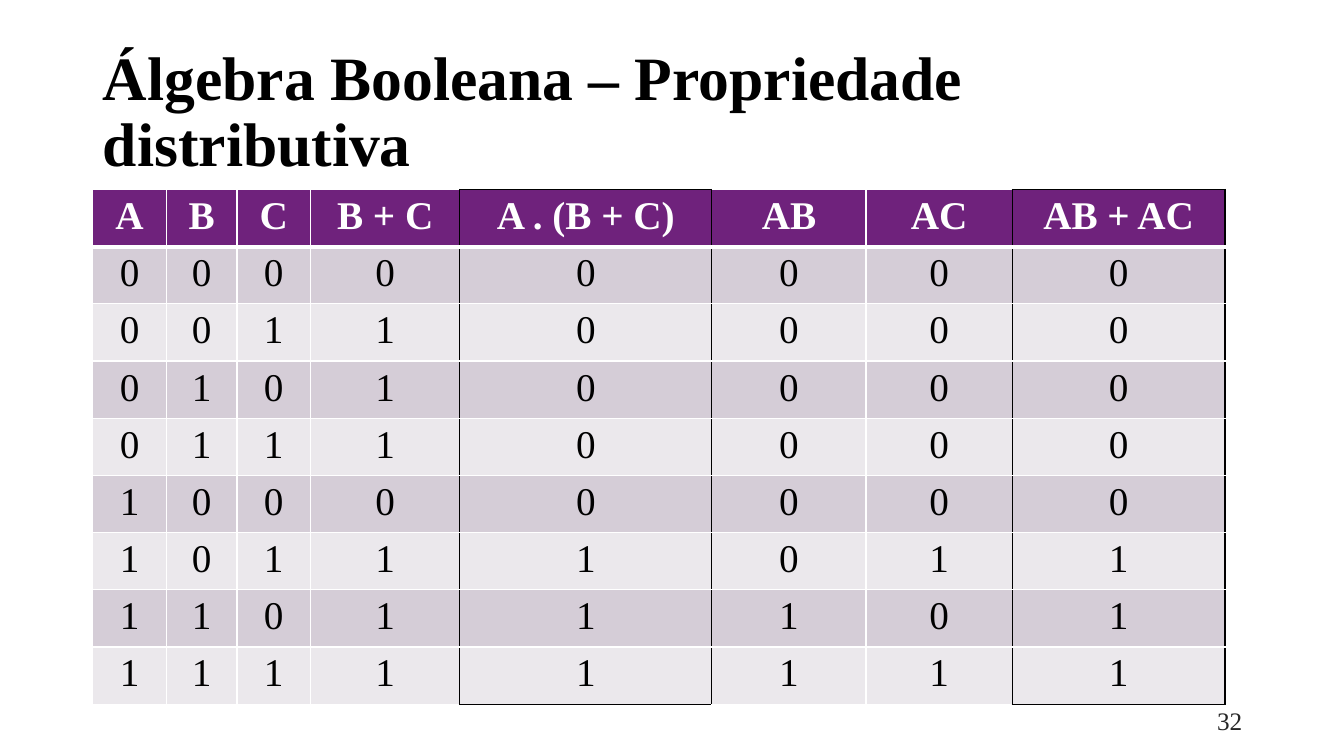
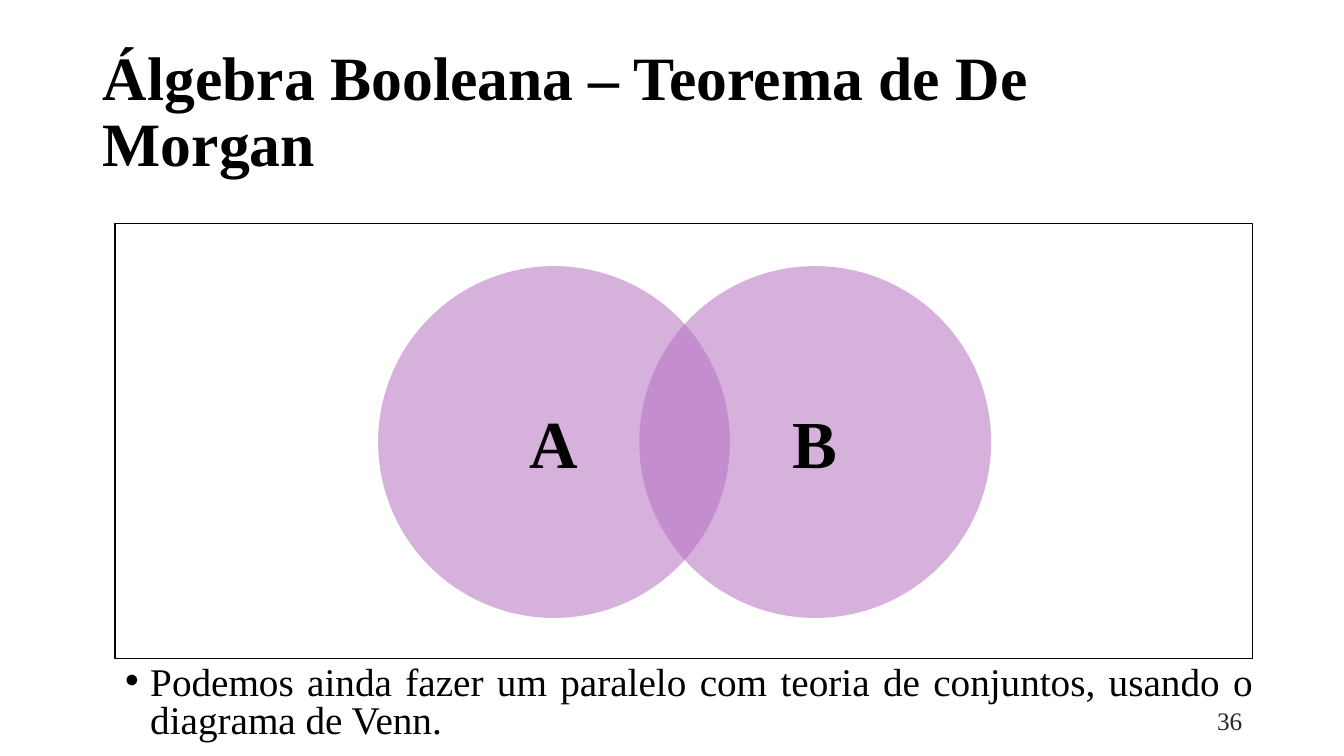
from itertools import product

from pptx import Presentation
from pptx.dml.color import RGBColor
from pptx.enum import shapes, text
from pptx.oxml.ns import qn
from pptx.util import Inches, Pt
from lxml import etree

FONT = "Times New Roman"
COLORS = {
    "ink": "000000",
    "paper": "FFFFFF",
    "header": "6F227C",
    "odd_row": "D5CDD7",
    "even_row": "EBE8EC",
    "set": "B671C1",
    "number": "262626",
}
TITLE_BOX = (0.92, 0.4, 11.5, 1.45)
NUMBER_BOX = (9.42, 6.95, 3, 0.4)
TITLE_ONLY, TITLE_AND_BODY = 5, 1

COLUMN_WIDTHS = [0.73, 0.7, 0.73, 1.48, 2.5, 1.53, 1.45, 2.11]
HEADINGS = ["A", "B", "C", "B + C", "A . (B + C)", "AB", "AC", "AB + AC"]
COMPARED = {HEADINGS.index("A . (B + C)"), HEADINGS.index("AB + AC")}


def rgb(name):
    """Return the named palette colour."""
    return RGBColor.from_string(COLORS[name])


def place(shape, box):
    """Move and size a shape to a box given in inches."""
    shape.left, shape.top, shape.width, shape.height = map(Inches, box)


def write(frame, wording, size, color="ink", bold=False, align=text.PP_ALIGN.LEFT):
    """Fill a text frame with one formatted paragraph and return it."""
    frame.text = wording
    paragraph = frame.paragraphs[0]
    paragraph.alignment = align
    font = paragraph.font
    font.name, font.size, font.bold = FONT, Pt(size), bold
    font.color.rgb = rgb(color)
    return paragraph


def start_slide(deck, layout, heading, number):
    """Add a slide with the shared title and page number."""
    slide = deck.slides.add_slide(deck.slide_layouts[layout])
    title = slide.shapes.title
    place(title, TITLE_BOX)
    title.text_frame.auto_size = text.MSO_AUTO_SIZE.NONE
    title.text_frame.vertical_anchor = text.MSO_ANCHOR.MIDDLE
    write(title.text_frame, heading, 44, bold=True).line_spacing = 0.9

    page = slide.shapes.add_textbox(*map(Inches, NUMBER_BOX)).text_frame
    page.word_wrap = True
    page.vertical_anchor = text.MSO_ANCHOR.MIDDLE
    write(page, str(number), 18, "number", align=text.PP_ALIGN.RIGHT)
    return slide


def truth_rows():
    """Evaluate both sides of the distributive law for every input."""
    return [
        (a, b, c, b | c, a & (b | c), a & b, a & c, a & b | a & c)
        for a, b, c in product((0, 1), repeat=3)
    ]


def draw_border(cell, side, color, width):
    """Add one solid border to a cell, before its fill is set."""
    line = etree.SubElement(cell._tc.get_or_add_tcPr(), qn(f"a:ln{side}"), w=str(Pt(width)))
    fill = etree.SubElement(line, qn("a:solidFill"))
    etree.SubElement(fill, qn("a:srgbClr"), val=COLORS[color])


def style_cell(cell, row, column, last_row):
    """Set the borders and fill that follow from a cell's position."""
    compared = column in COMPARED
    black_sides = {
        "L": compared or column - 1 in COMPARED,
        "R": compared or column + 1 in COMPARED,
        "T": compared and row == 0,
        "B": compared and row == last_row,
    }
    for side, black in black_sides.items():
        under_header = (row, side) in ((0, "B"), (1, "T"))
        draw_border(cell, side, "ink" if black else "paper", 3 if under_header else 1)
    cell.fill.solid()
    band = "odd_row" if row % 2 else "even_row"
    cell.fill.fore_color.rgb = rgb(band if row else "header")


def add_truth_table(slide, left, top, row_height):
    """Draw the truth table with the two equal columns outlined."""
    rows = [HEADINGS] + truth_rows()
    table = slide.shapes.add_table(
        len(rows), len(HEADINGS), Inches(left), Inches(top),
        Inches(sum(COLUMN_WIDTHS)), Inches(row_height * len(rows)),
    ).table
    for column, width in zip(table.columns, COLUMN_WIDTHS):
        column.width = Inches(width)
    for row, values in enumerate(rows):
        for column, value in enumerate(values):
            cell = table.cell(row, column)
            style_cell(cell, row, column, len(rows) - 1)
            write(cell.text_frame, str(value), 28, "ink" if row else "paper",
                  bold=row == 0, align=text.PP_ALIGN.CENTER)


def add_venn(slide, left, top, width, height):
    """Draw two overlapping sets inside a framed universe."""
    universe = slide.shapes.add_shape(
        shapes.MSO_SHAPE.RECTANGLE, *map(Inches, (left, top, width, height)))
    universe.shadow.inherit = False
    universe.fill.background()
    universe.line.color.rgb = rgb("ink")
    universe.line.width = Pt(0.85)

    diameter, step = 3.49, 2.59
    for index, label in enumerate("AB"):
        box = (left + 2.61 + index * step, top + 0.42, diameter, diameter)
        circle = slide.shapes.add_shape(shapes.MSO_SHAPE.OVAL, *map(Inches, box))
        circle.shadow.inherit = False
        circle.line.fill.background()
        circle.fill.solid()
        circle.fill.fore_color.rgb = rgb("set")
        tint = circle._element.spPr.find(f"{qn('a:solidFill')}/{qn('a:srgbClr')}")
        etree.SubElement(tint, qn("a:alpha"), val="55000")
        circle.text_frame.vertical_anchor = text.MSO_ANCHOR.MIDDLE
        write(circle.text_frame, label, 48, bold=True, align=text.PP_ALIGN.CENTER)


def add_remark(slide, box, wording):
    """Put a justified bullet in the body placeholder."""
    body = slide.placeholders[1]
    place(body, box)
    body.text_frame.auto_size = text.MSO_AUTO_SIZE.NONE
    remark = write(body.text_frame, wording, 28, align=text.PP_ALIGN.JUSTIFY)
    remark.line_spacing = 0.8
    remark.space_before = Pt(10)
    properties = remark._p.get_or_add_pPr()
    properties.set("marL", str(Inches(0.25)))
    properties.set("indent", str(Inches(-0.25)))


def build_distributive(deck):
    """Build the slide on the distributive property."""
    slide = start_slide(deck, TITLE_ONLY, "Álgebra Booleana – Propriedade distributiva", 32)
    add_truth_table(slide, 0.92, 1.88, 0.55)


def build_de_morgan(deck):
    """Build the slide on De Morgan's theorem."""
    slide = start_slide(deck, TITLE_AND_BODY, "Álgebra Booleana – Teorema de De Morgan", 36)
    add_venn(slide, 1.14, 2.22, 11.28, 4.31)
    add_remark(slide, (1.14, 6.56, 11.39, 0.94),
               "Podemos ainda fazer um paralelo com teoria de conjuntos, "
               "usando o diagrama de Venn.")


def main():
    """Build and save the presentation."""
    deck = Presentation()
    deck.slide_width, deck.slide_height = Inches(13.33), Inches(7.5)
    build_distributive(deck)
    build_de_morgan(deck)
    deck.save("out.pptx")


if __name__ == "__main__":
    main()
